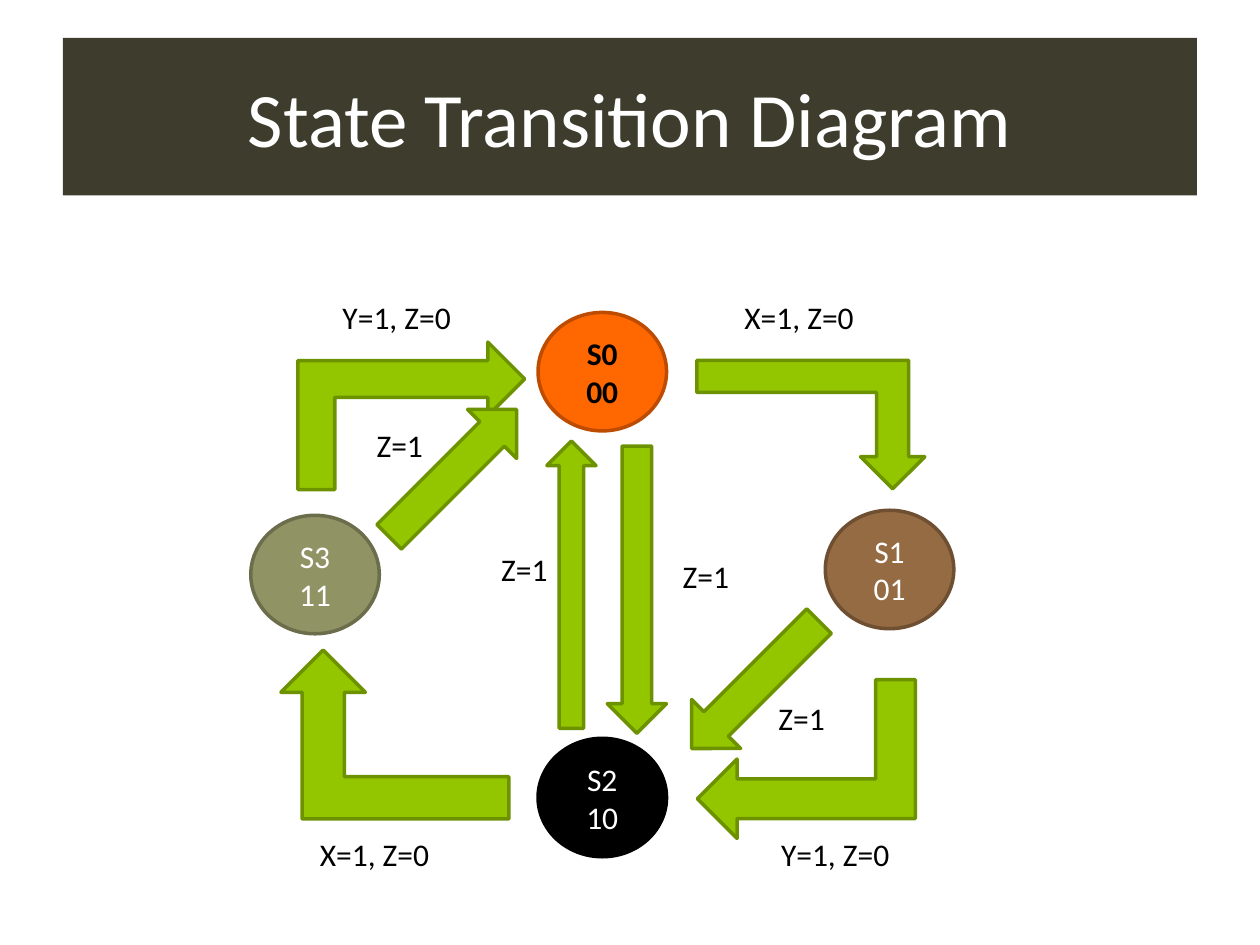
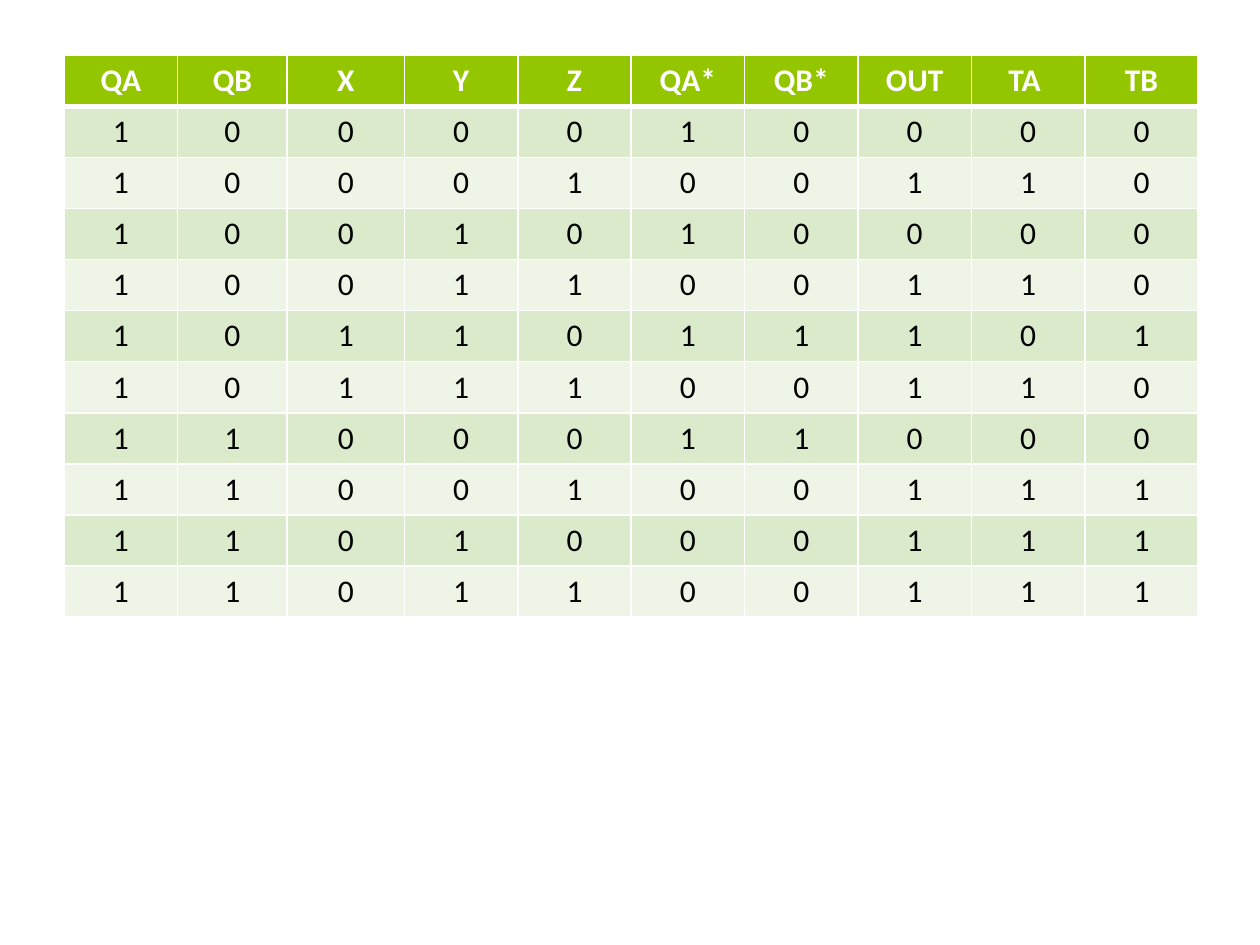
from lxml.etree import SubElement
from pptx import Presentation
from pptx.dml.color import RGBColor
from pptx.enum.shapes import MSO_SHAPE
from pptx.enum.text import MSO_ANCHOR, PP_ALIGN
from pptx.oxml.ns import qn
from pptx.util import Inches, Pt

FONT = "Calibri"
BODY_SIZE = 18
COLORS = {
    "band": "3E3D2D", "white": "FFFFFF", "black": "000000",
    "green": "94C600", "green_edge": "6D9200",
    "orange": "FF6700", "orange_edge": "BD4C00",
    "olive": "909465", "olive_edge": "6B6D4B",
    "brown": "956B43", "brown_edge": "6E4F32",
    "row_odd": "DCEACC", "row_even": "EEF5E7",
}

# Content: state diagram
TITLE = "State Transition Diagram"
STATE_SIZE = (1.02, 0.94)
STATES = [  # text, left, top, fill, edge, text colour, bold
    ("S0\n00", 4.27, 2.48, "orange", "orange_edge", "black", True),
    ("S3\n11", 1.99, 4.09, "olive", "olive_edge", "white", False),
    ("S1\n01", 6.55, 4.05, "brown", "brown_edge", "white", False),
    ("S2\n10", 4.27, 5.86, "black", "black", "white", False),
]
BENT, RIGHT = MSO_SHAPE.BENT_UP_ARROW, MSO_SHAPE.RIGHT_ARROW
ARROWS = [  # preset, box, rotation, flip attribute
    (BENT, (5.77, 5.16, 1.26, 1.73), 270, "flipH"),          # S1 to S2
    (BENT, (2.23, 5.16, 1.81, 1.34), 0, "flipH"),            # S2 to S3
    (BENT, (2.68, 2.4, 1.17, 1.8), 90, "flipH"),             # S3 to S0
    (BENT, (5.53, 2.86, 1.81, 1.02), 0, "flipV"),            # S0 to S1
    (MSO_SHAPE.DOWN_ARROW, (4.82, 3.54, 0.47, 2.28), 0, None),
    (MSO_SHAPE.UP_ARROW, (4.34, 3.5, 0.39, 2.28), 0, None),
    (RIGHT, (2.88, 3.48, 1.43, 0.55), 315, None),            # S3 to S0
    (RIGHT, (5.28, 5.16, 1.43, 0.55), 135, None),            # S1 to S2
]
LABELS = [  # text, left, top, width
    ("X=1, Z=0", 5.81, 2.32, 1.26), ("Y=1, Z=0", 6.1, 6.58, 1.11),
    ("X=1, Z=0", 2.44, 6.58, 1.3), ("Y=1, Z=0", 2.62, 2.32, 1.1),
    ("Z=1", 5.32, 4.37, 0.6), ("Z=1", 3.88, 4.32, 0.6),
    ("Z=1", 2.89, 3.33, 0.7), ("Z=1", 6.08, 5.5, 0.71),
]

# Content: transition table, one digit per column
HEADERS = ["QA", "QB", "X", "Y", "Z", "QA*", "QB*", "OUT", "TA ", "TB"]
ROWS = [
    "1000010000", "1000100110", "1001010000", "1001100110", "1011011101",
    "1011100110", "1100011000", "1100100111", "1101000111", "1101100111",
]
COLUMN_WIDTHS = [0.9, 0.87, 0.93] + [0.9] * 7
TABLE_HEIGHT = 4.46


def color(name):
    return RGBColor.from_string(COLORS[name])


def write(frame, text, ink, size=BODY_SIZE, bold=False, align=PP_ALIGN.CENTER):
    frame.text = text
    for paragraph in frame.paragraphs:
        paragraph.alignment = align
        for run in paragraph.runs:
            run.font.name = FONT
            run.font.size = Pt(size)
            run.font.bold = bold
            run.font.color.rgb = color(ink)


def add_filled(slide, preset, box, fill, edge=None):
    shape = slide.shapes.add_shape(preset, *map(Inches, box))
    shape.shadow.inherit = False
    shape.fill.solid()
    shape.fill.fore_color.rgb = color(fill)
    if edge:
        shape.line.color.rgb = color(edge)
        shape.line.width = Pt(2)
    else:
        shape.line.fill.background()
    return shape


def add_borders(cell, top, bottom):
    properties = cell._tc.get_or_add_tcPr()
    for side, width in (("L", 1), ("R", 1), ("T", top), ("B", bottom)):
        line = SubElement(properties, qn(f"a:ln{side}"), w=str(Pt(width)))
        fill = SubElement(line, qn("a:solidFill"))
        SubElement(fill, qn("a:srgbClr"), val=COLORS["white"])


presentation = Presentation()
presentation.slide_width, presentation.slide_height = Inches(10), Inches(7.5)
blank = presentation.slide_layouts[6]

# Slide 1: title band, states, arrows, labels
slide = presentation.slides.add_slide(blank)
band = add_filled(slide, MSO_SHAPE.RECTANGLE, (0.5, 0.3, 9, 1.25), "band")
band.text_frame.vertical_anchor = MSO_ANCHOR.MIDDLE
write(band.text_frame, TITLE, "white", size=44)

for text, left, top, fill, edge, ink, bold in STATES:
    state = add_filled(slide, MSO_SHAPE.OVAL, (left, top, *STATE_SIZE), fill, edge)
    state.text_frame.vertical_anchor = MSO_ANCHOR.MIDDLE
    write(state.text_frame, text, ink, bold=bold)

for preset, box, rotation, flip in ARROWS:
    arrow = add_filled(slide, preset, box, "green", "green_edge")
    arrow.rotation = rotation
    if flip:
        arrow._element.spPr.find(qn("a:xfrm")).set(flip, "1")

for text, left, top, width in LABELS:
    label = slide.shapes.add_textbox(*map(Inches, (left, top, width, 0.4)))
    label.text_frame.word_wrap = True
    write(label.text_frame, text, "black", align=PP_ALIGN.LEFT)

# Slide 2: transition table
slide = presentation.slides.add_slide(blank)
grid = [HEADERS, *ROWS]
table = slide.shapes.add_table(
    len(grid), len(HEADERS), Inches(0.51), Inches(0.44),
    Inches(sum(COLUMN_WIDTHS)), Inches(TABLE_HEIGHT)).table
for column, width in zip(table.columns, COLUMN_WIDTHS):
    column.width = Inches(width)
for index, values in enumerate(grid):
    header = index == 0
    fill = "green" if header else "row_odd" if index % 2 else "row_even"
    for position, value in enumerate(values):
        cell = table.cell(index, position)
        add_borders(cell, top=3 if index == 1 else 1, bottom=3 if header else 1)
        cell.fill.solid()
        cell.fill.fore_color.rgb = color(fill)
        write(cell.text_frame, value, "white" if header else "black", bold=header)

presentation.save("out.pptx")
